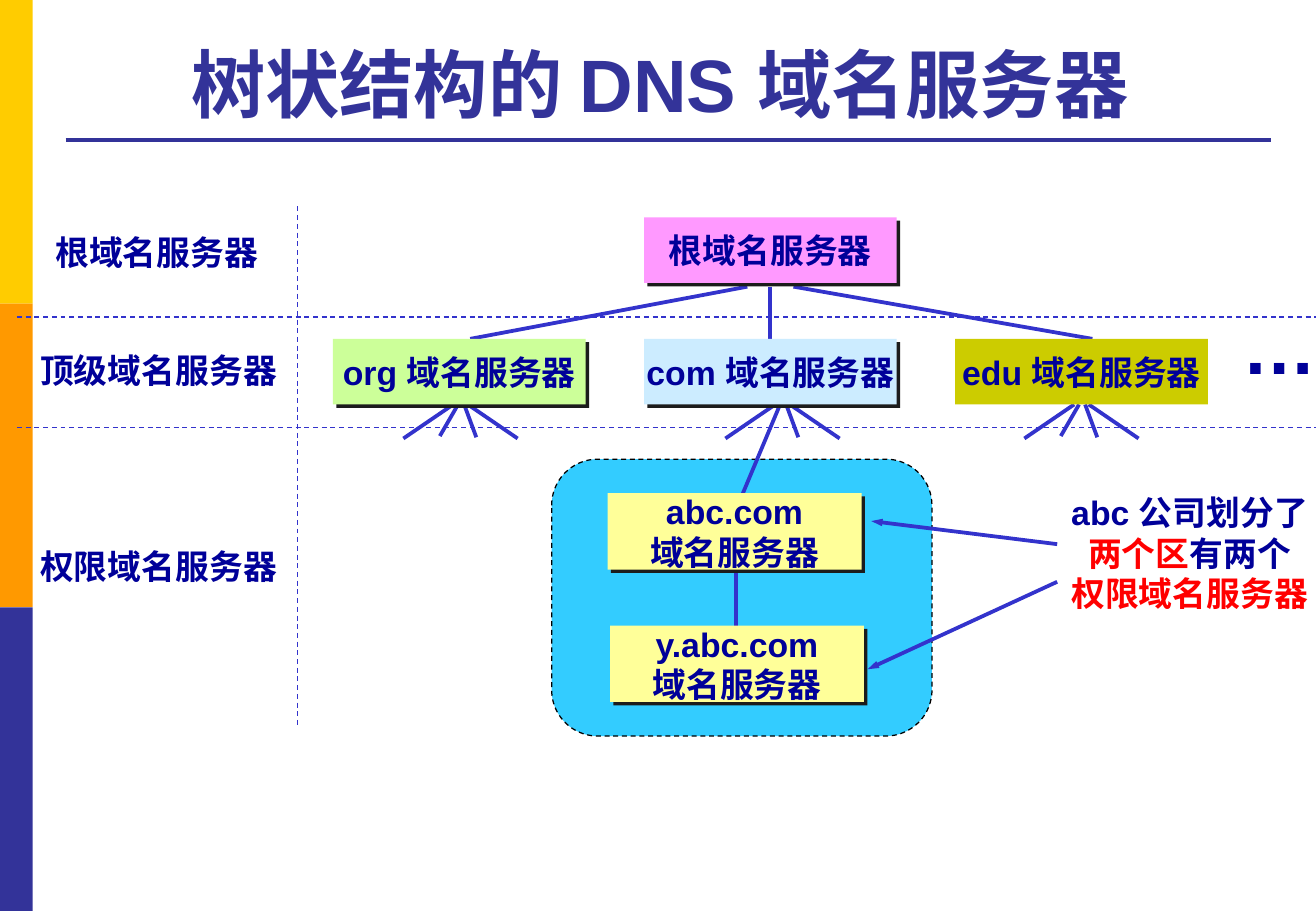
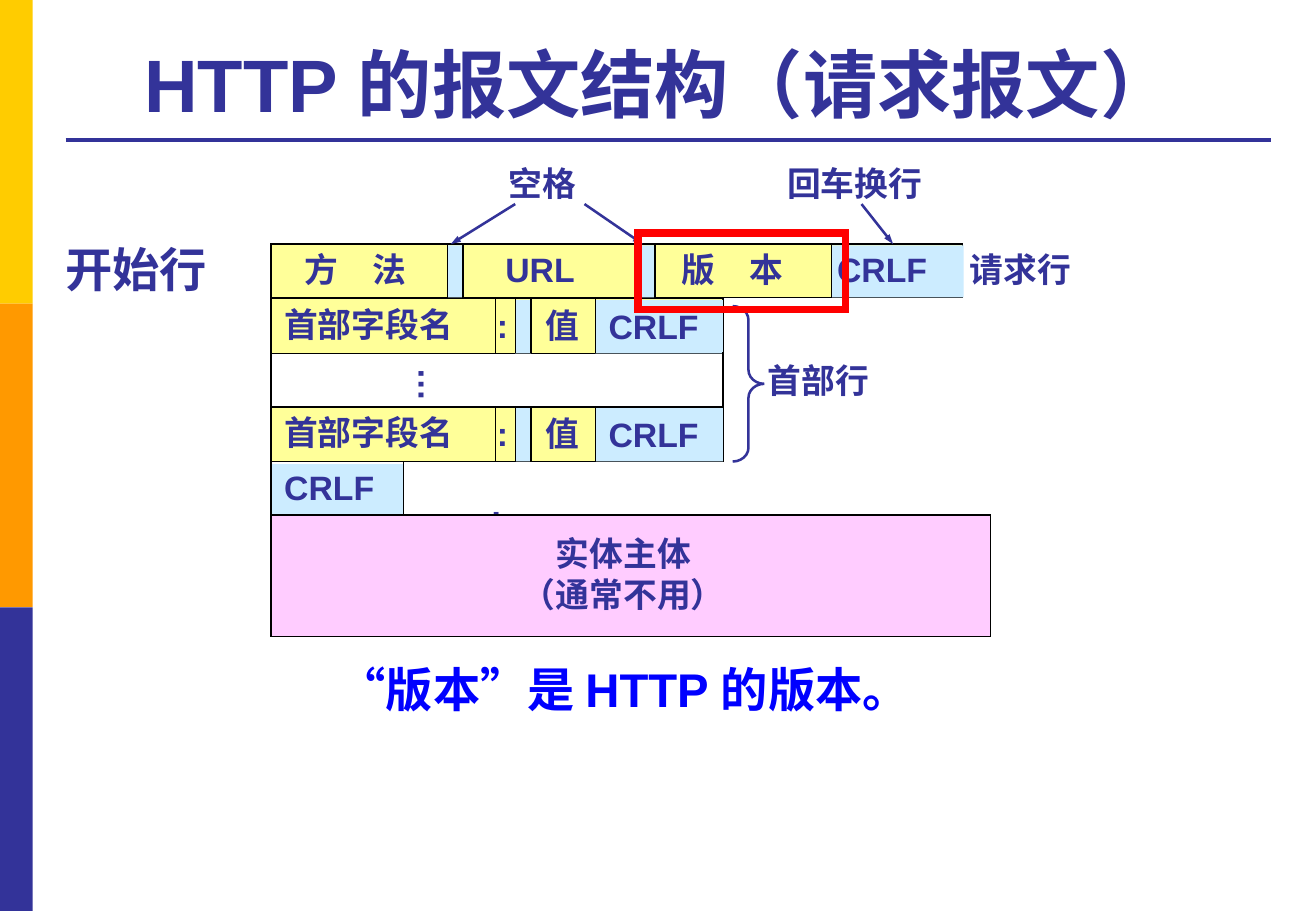
from dataclasses import dataclass
from typing import NamedTuple, Optional, Sequence, Union

from lxml.etree import SubElement
from pptx import Presentation
from pptx.dml.color import RGBColor
from pptx.enum.dml import MSO_LINE
from pptx.enum.shapes import MSO_CONNECTOR, MSO_SHAPE
from pptx.enum.text import MSO_ANCHOR, MSO_AUTO_SIZE, PP_ALIGN
from pptx.oxml.ns import qn
from pptx.util import Emu, Pt

PX = 9144  # 100 px to the inch
WIDTH, HEIGHT = 1083, 750
LATIN, CJK = "Arial", "Noto Sans CJK SC"
INDIGO, NAVY, BLUE, BLACK, RED = "333399", "000099", "3333CC", "000000", "FF0000"
YELLOW, SKY = "FFFF99", "CCECFF"
BANDS = ("FFCC00", "FF9900", INDIGO)


class Box(NamedTuple):
    left: int
    top: int
    width: int
    height: int


class Run(NamedTuple):
    text: str
    color: Optional[str] = None
    font: Optional[str] = None


Paragraph = Union[str, Sequence[Run]]


@dataclass(frozen=True)
class Style:
    color: str = INDIGO
    size: int = 20
    font: str = LATIN
    align: PP_ALIGN = PP_ALIGN.LEFT


@dataclass(frozen=True)
class Pen:
    color: str
    width: float
    dashed: bool = False
    arrow: bool = False


@dataclass(frozen=True)
class Server:
    box: Box
    fill: str
    lines: Sequence[str]
    shadow: bool = True


TITLE = Style(size=44, align=PP_ALIGN.CENTER)
TREE = Style(color=NAVY, align=PP_ALIGN.CENTER)
FIELD = Style()
CENTERED = Style(align=PP_ALIGN.CENTER)
HAIRLINE = Pen(BLACK, 0.75)


def px(length: int) -> Emu:
    return Emu(length * PX)


def rgb(color: str) -> RGBColor:
    return RGBColor.from_string(color)


def apply(target, values: dict) -> None:
    for name, value in values.items():
        setattr(target, name, value)


def write(frame, paragraphs: Sequence[Paragraph], style: Style) -> None:
    for index, content in enumerate(paragraphs):
        paragraph = frame.add_paragraph() if index else frame.paragraphs[0]
        paragraph.alignment = style.align
        for part in [Run(content)] if isinstance(content, str) else content:
            run = paragraph.add_run()
            run.text = part.text
            apply(run.font, {"name": part.font or style.font,
                             "size": Pt(style.size), "bold": True})
            run.font.color.rgb = rgb(part.color or style.color)
            properties = run.font.fill._xPr
            properties.find(qn("a:latin")).addnext(
                SubElement(properties, qn("a:ea"), typeface=CJK))


def draw_pen(line, pen: Pen) -> None:
    line.color.rgb = rgb(pen.color)
    line.width = Pt(pen.width)
    if pen.dashed:
        line.dash_style = MSO_LINE.DASH


def add_shape(slide, box: Box, fill: Optional[str] = None, pen: Optional[Pen] = None,
              kind: MSO_SHAPE = MSO_SHAPE.RECTANGLE):
    shape = slide.shapes.add_shape(kind, *map(px, box))
    if fill:
        shape.fill.solid()
        shape.fill.fore_color.rgb = rgb(fill)
    else:
        shape.fill.background()
    if pen:
        draw_pen(shape.line, pen)
        SubElement(shape.element.spPr.find(qn("a:ln")), qn("a:miter"), lim="800000")
    else:
        shape.line.fill.background()
    shape.shadow.inherit = False
    return shape


def add_line(slide, start: tuple[int, int], end: tuple[int, int], pen: Pen):
    connector = slide.shapes.add_connector(
        MSO_CONNECTOR.STRAIGHT, *map(px, (*start, *end)))
    draw_pen(connector.line, pen)
    properties = connector.element.spPr
    if pen.arrow:
        SubElement(properties.find(qn("a:ln")), qn("a:tailEnd"),
                   type="triangle", w="sm", len="med")
    SubElement(properties, qn("a:effectLst"))
    return connector


def add_text(slide, box: Box, paragraphs: Sequence[Paragraph],
             style: Style, wrap: bool = False):
    label = slide.shapes.add_textbox(*map(px, box))
    apply(label.text_frame, {"word_wrap": wrap,
                             "auto_size": MSO_AUTO_SIZE.SHAPE_TO_FIT_TEXT})
    write(label.text_frame, paragraphs, style)
    return label


def add_server(slide, server: Server) -> None:
    shape = add_shape(slide, server.box, server.fill)
    if server.shadow:
        effects = shape.element.spPr.find(qn("a:effectLst"))
        shadow = SubElement(effects, qn("a:outerShdw"), dist=str(Pt(2.8)),
                            dir="2700000", algn="ctr", rotWithShape="0")
        SubElement(shadow, qn("a:srgbClr"), val="1C1C1C")
    apply(shape.text_frame, {"word_wrap": False, "vertical_anchor": MSO_ANCHOR.MIDDLE})
    write(shape.text_frame, server.lines, TREE)


def add_titled_slide(prs, title: str):
    slide = prs.slides.add_slide(prs.slide_layouts[5])
    heading = slide.shapes.title
    apply(heading, dict(zip(Box._fields, map(px, Box(55, 21, 990, 89)))))
    apply(heading.text_frame, {"vertical_anchor": MSO_ANCHOR.BOTTOM, "word_wrap": True,
                               "auto_size": MSO_AUTO_SIZE.NONE})
    write(heading.text_frame, [title], TITLE)
    return slide


def decorate_master(prs, slide) -> None:
    """Draw the side bands and title rule, then move them to the master."""
    band_height = HEIGHT // len(BANDS)
    parts = [add_shape(slide, Box(0, i * band_height, 27, band_height), color)
             for i, color in enumerate(BANDS)]
    parts.append(add_line(slide, (54, 115), (1046, 115), Pen(INDIGO, 2.25)))
    for number, part in enumerate(parts, start=100):
        part.element.xpath(".//p:cNvPr")[0].set("id", str(number))
        prs.slide_master.shapes.element.append(part.element)


def build_dns_tree(slide) -> None:
    branch = Pen(BLUE, 2.25)
    pointer = Pen(BLUE, 2.25, arrow=True)
    divider = Pen(BLUE, 0.75, dashed=True)

    # Zone of the company
    add_shape(slide, Box(454, 378, 313, 228), "33CCFF",
              Pen(BLACK, 0.75, dashed=True), MSO_SHAPE.ROUNDED_RECTANGLE)

    # Level dividers and labels
    for y in (261, 352):
        add_line(slide, (14, y), (1094, y), divider)
    add_line(slide, (245, 170), (245, 597), divider)
    for box, level in ((Box(35, 186, 188, 44), "根域名服务器"),
                       (Box(22, 283, 217, 44), "顶级域名服务器"),
                       (Box(22, 444, 217, 44), "权限域名服务器")):
        add_text(slide, box, [level], TREE)

    # Branches from the root and between the two zones
    for start, end in (((387, 279), (615, 236)), ((634, 236), (634, 279)),
                       ((899, 279), (653, 236)), ((606, 461), (606, 515))):
        add_line(slide, start, end, branch)

    # Fans below the top-level servers; one ray of com reaches abc.com
    fan = ((6, 47, 361), (3, 13, 360), (-6, -47, 361), (-2, -17, 359))
    for center in (379, 644, 890):
        rays = fan if center != 644 else fan[:3] + ((-2, -33, 407),)
        for near, far, bottom in rays:
            add_line(slide, (center + near, 333), (center + far, bottom), branch)

    # Servers
    top_level = (("org", "CCFF99"), ("com", SKY), ("edu", "CCCC00"))
    servers = [Server(Box(530, 179, 208, 54), "FF99FF", ["根域名服务器"])]
    servers += [Server(Box(274 + 256 * i, 279, 208, 54), fill,
                       [f"{domain} 域名服务器"], domain != "edu")
                for i, (domain, fill) in enumerate(top_level)]
    servers += [Server(Box(left, top, 209, 63), YELLOW, [zone, "域名服务器"])
                for left, top, zone in ((500, 406, "abc.com"), (502, 515, "y.abc.com"))]
    for server in servers:
        add_server(slide, server)
    add_text(slide, Box(1013, 242, 82, 84), ["…"], Style(color=NAVY, size=44))

    # Remark on the two zones
    add_text(slide, Box(870, 400, 218, 111),
             ["abc 公司划分了", [Run("两个区", RED), Run("有两个")],
              [Run("权限域名服务器", RED)]], TREE, wrap=True)
    for start, end in (((870, 448), (717, 429)), ((870, 479), (714, 551))):
        add_line(slide, start, end, pointer)


def add_row(slide, box: Box, blue_cells: Sequence[tuple[int, int]],
            dividers: Sequence[int], texts: Sequence[tuple[int, int, int, str]]) -> None:
    """Draw one message row: blue cells, dividers, and texts (x, dy, width, text)."""
    add_shape(slide, box, YELLOW, HAIRLINE)
    for left, width in blue_cells:
        add_shape(slide, Box(left, box.top + 1, width, box.height - 1), SKY)
    for x in dividers:
        add_line(slide, (x, box.top), (x, box.top + box.height), HAIRLINE)
    for left, shift, width, text in texts:
        add_text(slide, Box(left, box.top + shift, width, 44), [text], FIELD)


def build_http_request(slide) -> None:
    # Request line
    add_row(slide, Box(223, 201, 569, 44), ((368, 13), (526, 13), (684, 109)),
            (368, 381, 526, 539, 684),
            ((241, -1, 120, "方　法"), (406, -1, 78, "URL"),
             (551, -1, 120, "版　本"), (679, -1, 95, "CRLF")))

    # Header lines
    for top in (246, 335):
        add_row(slide, Box(223, top, 372, 45), ((424, 13), (490, 105)),
                (408, 424, 437, 490),
                ((224, -1, 160, "首部字段名"), (399, 0, 29, ":"),
                 (439, 0, 48, "值"), (491, 1, 95, "CRLF")))
    for x in (223, 595):
        add_line(slide, (x, 290), (x, 335), HAIRLINE)
    add_text(slide, Box(314, 294, 48, 44), ["…"], FIELD).rotation = 270
    brace = add_shape(slide, Box(603, 252, 26, 128), pen=Pen(INDIGO, 1.5),
                      kind=MSO_SHAPE.RIGHT_BRACE)
    brace.adjustments[0] = 0.44

    # Blank line
    add_shape(slide, Box(224, 382, 108, 42), SKY)
    for x in (223, 332):
        add_line(slide, (x, 380), (x, 424), HAIRLINE)
    for box, text in ((Box(224, 379, 95, 44), "CRLF"), (Box(394, 403, 29, 44), ":")):
        add_text(slide, box, [text], FIELD)

    # Entity body
    add_shape(slide, Box(223, 424, 592, 100), "FFCCFF", HAIRLINE)
    add_text(slide, Box(419, 434, 188, 77), ["实体主体", "（通常不用）"], CENTERED)

    # Labels and pointers
    for box, label in ((Box(409, 129, 76, 44), "空格"), (Box(638, 129, 132, 44), "回车换行"),
                       (Box(788, 200, 104, 44), "请求行"), (Box(622, 291, 104, 44), "首部行")):
        add_text(slide, box, [label], FIELD)
    for start, end in ((481, 529), (424, 371), (709, 735)):
        add_line(slide, (start, 168), (end, 201), Pen(INDIGO, 1.5, arrow=True))
    add_text(slide, Box(44, 193, 138, 57), ["开始行"], Style(size=28, font="Lato"))

    # Highlighted version field and its explanation
    add_shape(slide, Box(525, 192, 171, 63), pen=Pen(RED, 4.5))
    add_text(slide, Box(269, 539, 503, 57),
             [[Run("“版本”"), Run("是 ", font=CJK), Run("HTTP "),
               Run("的版本", font=CJK), Run("。")]],
             Style(color="0000FF", size=28), wrap=True)


def main() -> None:
    prs = Presentation()
    apply(prs, {"slide_width": px(WIDTH), "slide_height": px(HEIGHT)})
    dns = add_titled_slide(prs, "树状结构的 DNS 域名服务器 ")
    decorate_master(prs, dns)
    build_dns_tree(dns)
    build_http_request(add_titled_slide(prs, "HTTP 的报文结构（请求报文） "))
    prs.save("out.pptx")


if __name__ == "__main__":
    main()
